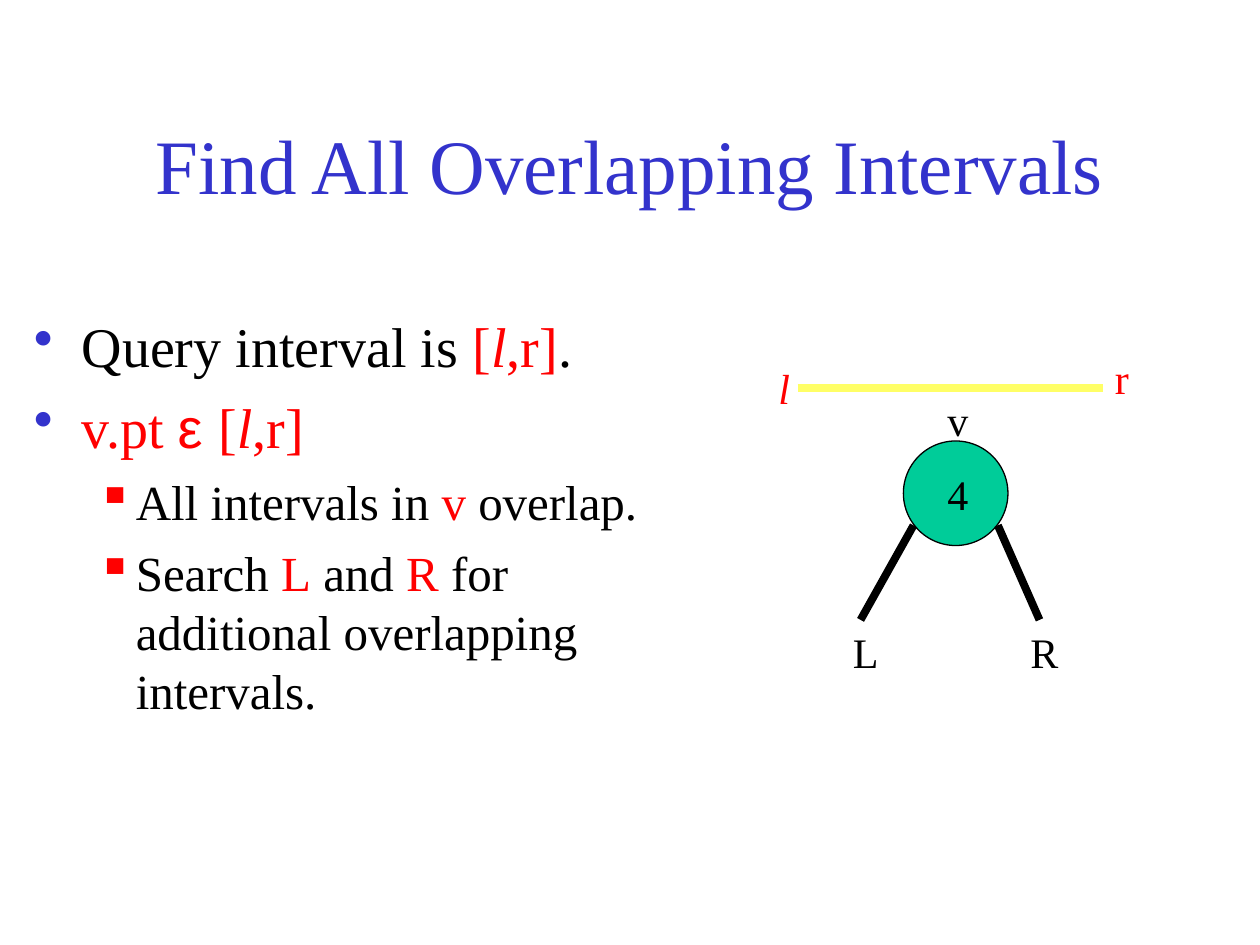
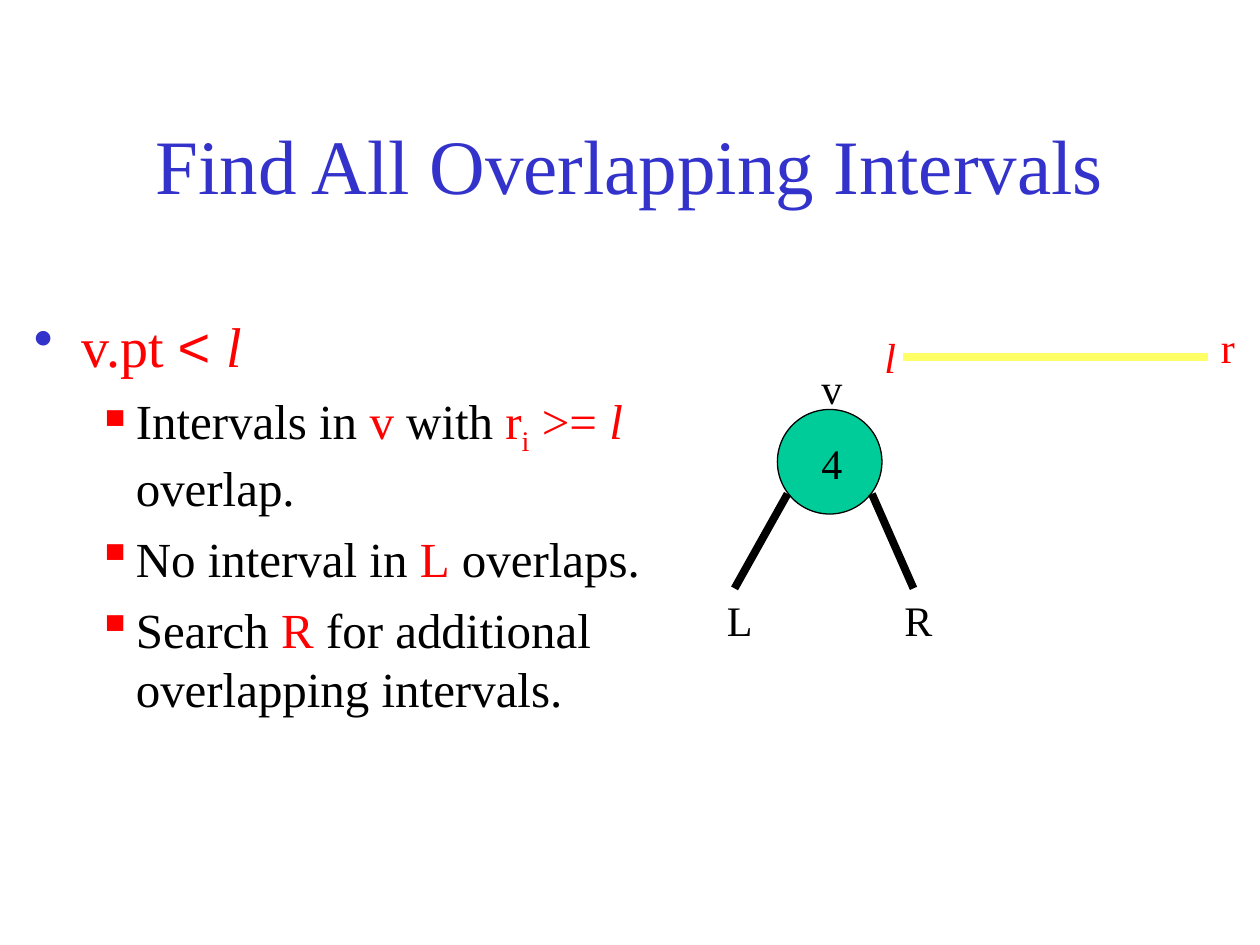
from lxml.etree import SubElement
from pptx import Presentation
from pptx.dml.color import RGBColor
from pptx.enum.shapes import MSO_CONNECTOR, MSO_SHAPE
from pptx.enum.text import MSO_ANCHOR, PP_ALIGN
from pptx.oxml.ns import qn
from pptx.util import Inches, Pt

BLACK = RGBColor(0x00, 0x00, 0x00)
RED = RGBColor(0xFF, 0x00, 0x00)
BLUE = RGBColor(0x33, 0x33, 0xCC)
GREEN = RGBColor(0x00, 0xCC, 0x99)
YELLOW = RGBColor(0xFF, 0xFF, 0x66)
SERIF, SANS = "Times New Roman", "Arial"

TITLE = "Find All Overlapping Intervals"
TITLE_BOX = (0.75, 0.67, 8.5, 1.25)
BODY_BOX = (0.17, 2.42, 5.5, 4.17)

PLAIN = {}
MARK = {"color": RED}
ITALIC = {"color": RED, "italic": True}
SYMBOL = {"color": RED, "font": SANS}
SUBSCRIPT = {"color": RED, "baseline": -25000}

# level: (size, space before, left margin, hanging indent, bullet, bullet colour)
LEVELS = [
    (32, 8, 0.38, 0.38, "•", BLUE),
    (28, 7, 0.81, 0.31, "▪", RED),
]

SLIDES = [
    {
        "body": [
            (0, [("Query interval is ", PLAIN), ("[", MARK), ("l", ITALIC),
                 (",r]", MARK), (".", PLAIN)]),
            (0, [("v.pt ", MARK), ("ε ", SYMBOL), ("[", MARK), ("l", ITALIC),
                 (",r]", MARK)]),
            (1, [("All intervals in ", PLAIN), ("v", MARK), (" overlap.", PLAIN)]),
            (1, [("Search ", PLAIN), ("L", MARK), (" and ", PLAIN), ("R", MARK),
                 (" for additional overlapping intervals.", PLAIN)]),
        ],
        "tree": (6.67, 3.08),
        "query": (6.08, 2.75),
    },
    {
        "body": [
            (0, [("v.pt ", MARK), ("< ", SYMBOL), ("l", ITALIC)]),
            (1, [("Intervals in ", PLAIN), ("v", MARK), (" with ", PLAIN),
                 ("r", MARK), ("i", SUBSCRIPT), (" >= ", MARK), ("l", ITALIC),
                 (" overlap.", PLAIN)]),
            (1, [("No interval in ", PLAIN), ("L", MARK), (" overlaps.", PLAIN)]),
            (1, [("Search ", PLAIN), ("R", MARK),
                 (" for additional overlapping intervals.", PLAIN)]),
        ],
        "tree": (5.67, 2.83),
        "query": (6.92, 2.5),
    },
]


def style(span, size, color=BLACK, font=SERIF, italic=False, baseline=None):
    """Format one run of text."""
    span.font.size = Pt(size)
    span.font.name = font
    span.font.color.rgb = color
    span.font.italic = italic
    if baseline:
        span.font._element.set("baseline", str(baseline))


def add_text_box(shapes, left, top, width, height, wrap=True):
    """Add an empty text box and return its text frame."""
    box = shapes.add_textbox(*map(Inches, (left, top, width, height)))
    box.text_frame.word_wrap = wrap
    return box.text_frame


def add_title(page):
    """Add the centred slide title."""
    frame = add_text_box(page.shapes, *TITLE_BOX)
    frame.vertical_anchor = MSO_ANCHOR.MIDDLE
    frame.text = TITLE
    para = frame.paragraphs[0]
    para.alignment = PP_ALIGN.CENTER
    style(para.runs[0], 44, BLUE)


def set_bullet(para, margin, hanging, char, color):
    """Give a paragraph a hanging coloured bullet."""
    props = para._p.get_or_add_pPr()
    props.set("marL", str(Inches(margin)))
    props.set("indent", str(-Inches(hanging)))
    bullet_color = SubElement(props, qn("a:buClr"))
    SubElement(bullet_color, qn("a:srgbClr"), val=str(color))
    SubElement(props, qn("a:buChar"), char=char)


def add_body(page, items):
    """Add the two-level bullet list."""
    frame = add_text_box(page.shapes, *BODY_BOX)
    for index, (level, pieces) in enumerate(items):
        para = frame.add_paragraph() if index else frame.paragraphs[0]
        size, before, margin, hanging, char, color = LEVELS[level]
        para.level = level
        para.space_before = Pt(before)
        set_bullet(para, margin, hanging, char, color)
        for text, look in pieces:
            span = para.add_run()
            span.text = text
            style(span, size, **look)


def add_label(shapes, text, left, top, width=0.33, wrap=True, before=15, **look):
    """Add a short diagram label."""
    frame = add_text_box(shapes, left, top, width, 0.5, wrap)
    frame.text = text
    para = frame.paragraphs[0]
    para.space_before = Pt(before)
    style(para.runs[0], 24, **look)


def add_line(shapes, start, end, color):
    """Add a thick straight line."""
    line = shapes.add_connector(
        MSO_CONNECTOR.STRAIGHT, *map(Inches, (*start, *end)))
    line.line.color.rgb = color
    line.line.width = Pt(4.5)
    SubElement(line._element.spPr, qn("a:effectLst"))


def add_tree(page, left, top):
    """Draw node v with its subtrees L and R."""
    shapes = page.shapes.add_group_shape().shapes
    node = shapes.add_shape(
        MSO_SHAPE.OVAL, *map(Inches, (left + 0.5, top + 0.42, 0.83, 0.83)))
    node.shadow.inherit = False
    node.fill.solid()
    node.fill.fore_color.rgb = GREEN
    node.line.color.rgb = BLACK
    node.line.width = Pt(0.75)
    add_label(shapes, "4", left + 0.75, top + 0.59, 0.36, wrap=False, before=0)
    fork, foot = top + 1.09, top + 1.84
    for name, start, end, label in (("L", 0.58, 0.16, 0), ("R", 1.25, 1.58, 1.41)):
        add_line(shapes, (left + start, fork), (left + end, foot), BLACK)
        add_label(shapes, name, left + label, foot)
    add_label(shapes, "v", left + 0.75, top)


def add_query(page, left, top):
    """Draw the query interval from l to r."""
    shapes = page.shapes.add_group_shape().shapes
    level = top + 0.33
    add_line(shapes, (left + 0.25, level), (left + 2.67, level), YELLOW)
    add_label(shapes, "l", left, top + 0.08, 0.42, **ITALIC)
    add_label(shapes, "r", left + 2.67, top, 0.42, **MARK)


def main():
    """Build and save the deck."""
    deck = Presentation()
    deck.slide_width, deck.slide_height = Inches(10), Inches(7.5)
    for content in SLIDES:
        page = deck.slides.add_slide(deck.slide_layouts[6])
        add_title(page)
        add_body(page, content["body"])
        add_tree(page, *content["tree"])
        add_query(page, *content["query"])
    deck.save("out.pptx")


if __name__ == "__main__":
    main()
